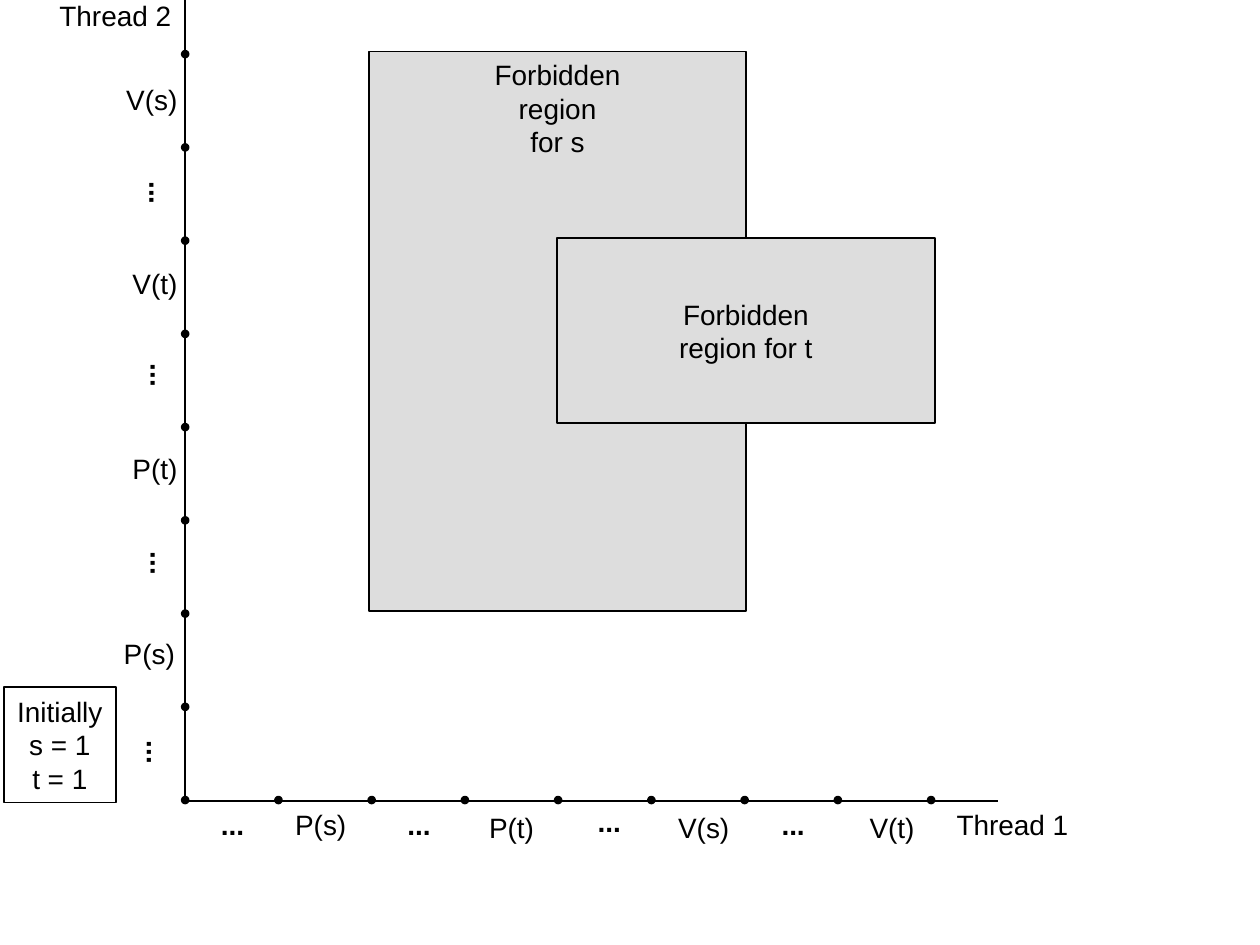
from lxml import etree
from pptx import Presentation
from pptx.dml.color import RGBColor
from pptx.enum import shapes, text
from pptx.oxml.ns import qn
from pptx.util import Inches, Pt

BLACK, GRAY = "000000", "DDDDDD"
ORIGIN_X, ORIGIN_Y, STEP, DOT = 1.47, 6.35, 0.74, 0.04
WIDTHS = {"P(s)": 0.61, "V(s)": 0.61, "P(t)": 0.56, "V(t)": 0.56,
          "...": 0.39, "Thread 1": 1.09, "Thread 2": 1.09}
LABELS = [
    ("...", 1.65, 6.36), ("P(s)", 2.24, 6.36), ("...", 3.13, 6.36),
    ("P(t)", 3.78, 6.38), ("...", 4.64, 6.33), ("V(s)", 5.28, 6.38),
    ("...", 6.1, 6.36), ("V(t)", 6.8, 6.38), ("Thread 1", 7.49, 6.36),
    ("P(s)", 0.88, 5), ("P(t)", 0.95, 3.53), ("V(t)", 0.95, 2.06),
    ("V(s)", 0.9, 0.6), ("Thread 2", 0.37, -0.06),
]
VERTICAL_ELLIPSES = [(1.02, 5.78), (1.05, 4.28), (1.05, 2.79), (1.04, 1.34)]


def color(value):
    """Turn a hex string into a colour."""
    return RGBColor.from_string(value)


def write(sp, content, anchor=text.MSO_ANCHOR.MIDDLE, bold=None):
    """Write centred, unwrapped black text into a shape."""
    tf = sp.text_frame
    tf.text = content
    tf.word_wrap = False
    tf.vertical_anchor = anchor
    for p in tf.paragraphs:
        p.alignment = text.PP_ALIGN.CENTER
        for r in p.runs:
            r.font.name, r.font.size, r.font.bold = "Arial", Pt(16), bold
            r.font.color.rgb = color(BLACK)


def add_label(s, content, x, y, w, h, vertical=False):
    """Add one axis label, with ellipses in bold."""
    sp = s.shapes.add_textbox(Inches(x), Inches(y), Inches(w), Inches(h))
    write(sp, content, bold=content == "..." or None)
    sp.text_frame.auto_size = text.MSO_AUTO_SIZE.SHAPE_TO_FIT_TEXT
    if vertical:
        sp.text_frame._txBody.bodyPr.set("vert", "eaVert")


def add_outlined(s, kind, x, y, w, h, fill=None, line=1):
    """Add a black-outlined shape with an optional fill."""
    sp = s.shapes.add_shape(kind, Inches(x), Inches(y), Inches(w), Inches(h))
    sp.shadow.inherit = False
    if fill:
        sp.fill.solid()
        sp.fill.fore_color.rgb = color(fill)
    else:
        sp.fill.background()
    sp.line.color.rgb = color(BLACK)
    sp.line.width = Pt(line)
    return sp


def add_box(s, content, x, y, w, h, fill=None, anchor=text.MSO_ANCHOR.MIDDLE):
    """Add a rectangle with centred text."""
    sp = add_outlined(s, shapes.MSO_SHAPE.RECTANGLE, x, y, w, h, fill)
    write(sp, content, anchor)


def add_dot(s, x, y):
    """Add an axis point centred on the given place."""
    add_outlined(s, shapes.MSO_SHAPE.OVAL, x - DOT / 2, y - DOT / 2,
                 DOT, DOT, BLACK, 2)


def add_axis(s, x, y):
    """Draw an axis from the origin to the given end."""
    line = s.shapes.add_connector(shapes.MSO_CONNECTOR.STRAIGHT, Inches(ORIGIN_X),
                                  Inches(6.36), Inches(x), Inches(y))
    line.line.color.rgb = color(BLACK)
    line.line.width = Pt(1)
    etree.SubElement(line._element.spPr, qn("a:effectLst"))


def main():
    """Build the progress graph slide."""
    prs = Presentation()
    prs.slide_width, prs.slide_height = Inches(10), Inches(7.5)
    s = prs.slides.add_slide(prs.slide_layouts[6])

    add_axis(s, 7.92, 6.36)
    add_axis(s, ORIGIN_X, -0.08)
    add_box(s, "Forbidden\nregion\nfor s", 2.93, 0.41, 2.99, 4.44, GRAY,
            text.MSO_ANCHOR.TOP)
    add_box(s, "Forbidden\nregion for t", 4.42, 1.89, 3, 1.47, GRAY)
    add_box(s, "Initially\ns = 1\nt = 1", 0.03, 5.45, 0.89, 0.92)

    add_dot(s, ORIGIN_X, ORIGIN_Y)
    for i in range(1, 9):
        add_dot(s, ORIGIN_X + i * STEP, ORIGIN_Y)
        add_dot(s, ORIGIN_X, ORIGIN_Y - i * STEP)

    for content, x, y in LABELS:
        add_label(s, content, x, y, WIDTHS[content], 0.37)
    for x, y in VERTICAL_ELLIPSES:
        add_label(s, "...", x, y, 0.47, 0.29, vertical=True)
    prs.save("out.pptx")


if __name__ == "__main__":
    main()
